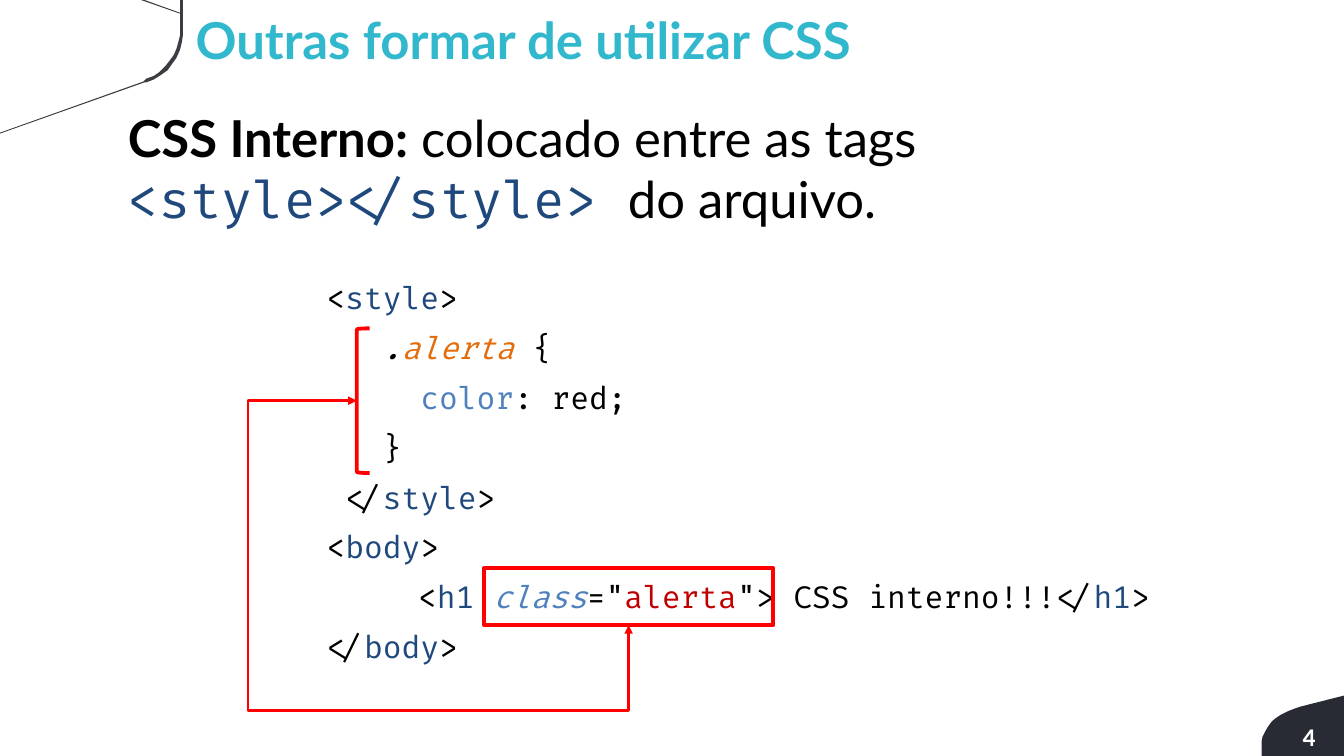
from lxml.etree import SubElement
from pptx import Presentation
from pptx.dml.color import RGBColor
from pptx.enum.shapes import MSO_CONNECTOR, MSO_SHAPE
from pptx.oxml.ns import qn
from pptx.util import Pt

BLACK, NAVY, BLUE = "000000", "1F497D", "4F81BD"
ORANGE, CRIMSON, RED = "E46C0A", "C00000", "FF0000"
TEAL, WHITE = "31B8CD", "FFFFFF"

# Each code line is a list of (text, colour, italic)
CODE = [
    [("<", BLACK, False), ("style", NAVY, False), (">", BLACK, False)],
    [("   ", BLACK, False), (".", BLACK, True), ("alerta", ORANGE, True),
     (" {", BLACK, False)],
    [("     ", BLACK, False), ("color", BLUE, False), (": red;", BLACK, False)],
    [("   }", BLACK, False)],
    [(" </", BLACK, False), ("style", NAVY, False), (">", BLACK, False)],
    [("<", BLACK, False), ("body", NAVY, False), (">", BLACK, False)],
    [("\t<", BLACK, False), ("h1 ", NAVY, False), ("class", BLUE, True),
     ("=\"", BLACK, False), ("alerta", CRIMSON, False),
     ("\"> CSS interno!!!</", BLACK, False), ("h1", NAVY, False),
     (">", BLACK, False)],
    [("</", BLACK, False), ("body", NAVY, False), (">", BLACK, False)],
]

# Outlines of the corner decorations, in points
NUMBER_CORNER = [
    (1057.7, 594.7), (992.9, 594.7), (992.9, 583.2), (993.6, 579.6),
    (995.8, 575.3), (997.9, 571.7), (1000.8, 567.7), (1003.7, 565.2),
    (1008, 562.3), (1013.8, 559.4), (1020.2, 557), (1023.8, 555.8),
    (1057.7, 547.2),
]
TITLE_CORNER = [
    (0, 105.1), (0, 104.4), (113, 64.1), (115.2, 61.9), (121, 59.8),
    (125.3, 56.9), (130.3, 51.8), (133.2, 48.2), (136.8, 43.2), (139, 38.2),
    (140.4, 33.1), (141.8, 27.4), (141.8, 10.8), (110.9, 0), (113.8, 0),
    (141.8, 10.1), (141.8, 0), (144, 0), (144, 27.4), (143.3, 32.4),
    (141.8, 38.9), (139, 45.4), (135.4, 50.4), (131.8, 55.4), (126.7, 59),
    (121, 62.6), (115.2, 64.8), (113.8, 64.8),
]


def rgb(color):
    return RGBColor.from_string(color)


def add_corner(s, points, color):
    start, *rest = [(Pt(x), Pt(y)) for x, y in points]
    builder = s.shapes.build_freeform(*start)
    builder.add_line_segments(rest, close=True)
    sp = builder.convert_to_shape()
    sp.shadow.inherit = False
    sp.fill.solid()
    sp.fill.fore_color.rgb = rgb(color)
    sp.line.fill.background()


def add_text_box(s, left, top, width, height, inset_x=0, inset_y=0):
    tf = s.shapes.add_textbox(Pt(left), Pt(top), Pt(width), Pt(height)).text_frame
    tf.word_wrap = True
    tf.margin_left = tf.margin_right = Pt(inset_x)
    tf.margin_top = tf.margin_bottom = Pt(inset_y)
    return tf


def add_run(p, text, font, size, color, bold=False, italic=False):
    r = p.add_run()
    r.text = text
    r.font.name = font
    r.font.size = Pt(size)
    r.font.color.rgb = rgb(color)
    r.font.bold = bold
    r.font.italic = italic


def add_code(s, lines, left, top, width, height, tab):
    tf = add_text_box(s, left, top, width, height)
    for i, line in enumerate(lines):
        p = tf.add_paragraph() if i else tf.paragraphs[0]
        p.line_spacing = 1.36
        # Tab stop for indented code
        tabs = SubElement(p._p.get_or_add_pPr(), qn("a:tabLst"))
        SubElement(tabs, qn("a:tab"), pos=str(Pt(tab)), algn="l")
        for text, color, italic in line:
            add_run(p, text, "Fira Code", 24, color, italic=italic)


def add_marker(s, kind, left, top, width, height):
    sp = s.shapes.add_shape(kind, Pt(left), Pt(top), Pt(width), Pt(height))
    sp.shadow.inherit = False
    sp.fill.background()
    sp.line.color.rgb = rgb(RED)
    sp.line.width = Pt(3)


def add_bent_arrow(s, x1, y1, x2, y2, bends):
    cxn = s.shapes.add_connector(MSO_CONNECTOR.ELBOW, Pt(x1), Pt(y1), Pt(x2), Pt(y2))
    cxn.line.color.rgb = rgb(RED)
    cxn.line.width = Pt(2.25)
    # Four-segment route, bends as fractions of width and height
    spPr = cxn._element.spPr
    geom = spPr.find(qn("a:prstGeom"))
    geom.set("prst", "bentConnector4")
    guides = geom.find(qn("a:avLst"))
    if guides is None:
        guides = SubElement(geom, qn("a:avLst"))
    for i, bend in enumerate(bends, 1):
        SubElement(guides, qn("a:gd"), name=f"adj{i}", fmla=f"val {round(bend * 100000)}")
    # Arrowheads at both ends, no shadow
    ln = spPr.find(qn("a:ln"))
    for end in ("a:headEnd", "a:tailEnd"):
        SubElement(ln, qn(end), type="triangle")
    SubElement(spPr, qn("a:effectLst"))


def main():
    prs = Presentation()
    prs.slide_width, prs.slide_height = Pt(1057.7), Pt(594.7)
    s = prs.slides.add_slide(prs.slide_layouts[6])

    # Corner decorations
    add_corner(s, NUMBER_CORNER, "282B34")
    add_corner(s, TITLE_CORNER, "3B3D42")

    # Code sample
    add_code(s, CODE, 257, 209.5, 648, 357, tab=72)

    # Title
    tf = add_text_box(s, 154, 6.5, 790, 50)
    add_run(tf.paragraphs[0], "Outras formar de utilizar CSS", "Lato", 40, TEAL, bold=True)

    # Definition
    p = add_text_box(s, 93.6, 80.6, 870.5, 105, 7.2, 3.6).paragraphs[0]
    add_run(p, "CSS Interno:", "Lato", 40, BLACK, bold=True)
    add_run(p, " colocado entre as tags ", "Lato", 40, BLACK)
    add_run(p, "<style></style> ", "Fira Code", 40, NAVY)
    add_run(p, "do arquivo.", "Lato", 40, BLACK)

    # Link between the class attribute and its rule
    add_marker(s, MSO_SHAPE.RECTANGLE, 381, 447, 227.5, 44.8)
    add_bent_arrow(s, 280.8, 315.2, 494.7, 491.8, (-0.4, 1.38))
    add_marker(s, MSO_SHAPE.LEFT_BRACKET, 280.8, 258.3, 10, 113.8)

    # Slide number
    tf = add_text_box(s, 1018, 563.8, 27.5, 31.5, 7.2, 3.6)
    add_run(tf.paragraphs[0], "4", "Calibri", 20, WHITE, bold=True)

    prs.save("out.pptx")


if __name__ == "__main__":
    main()
